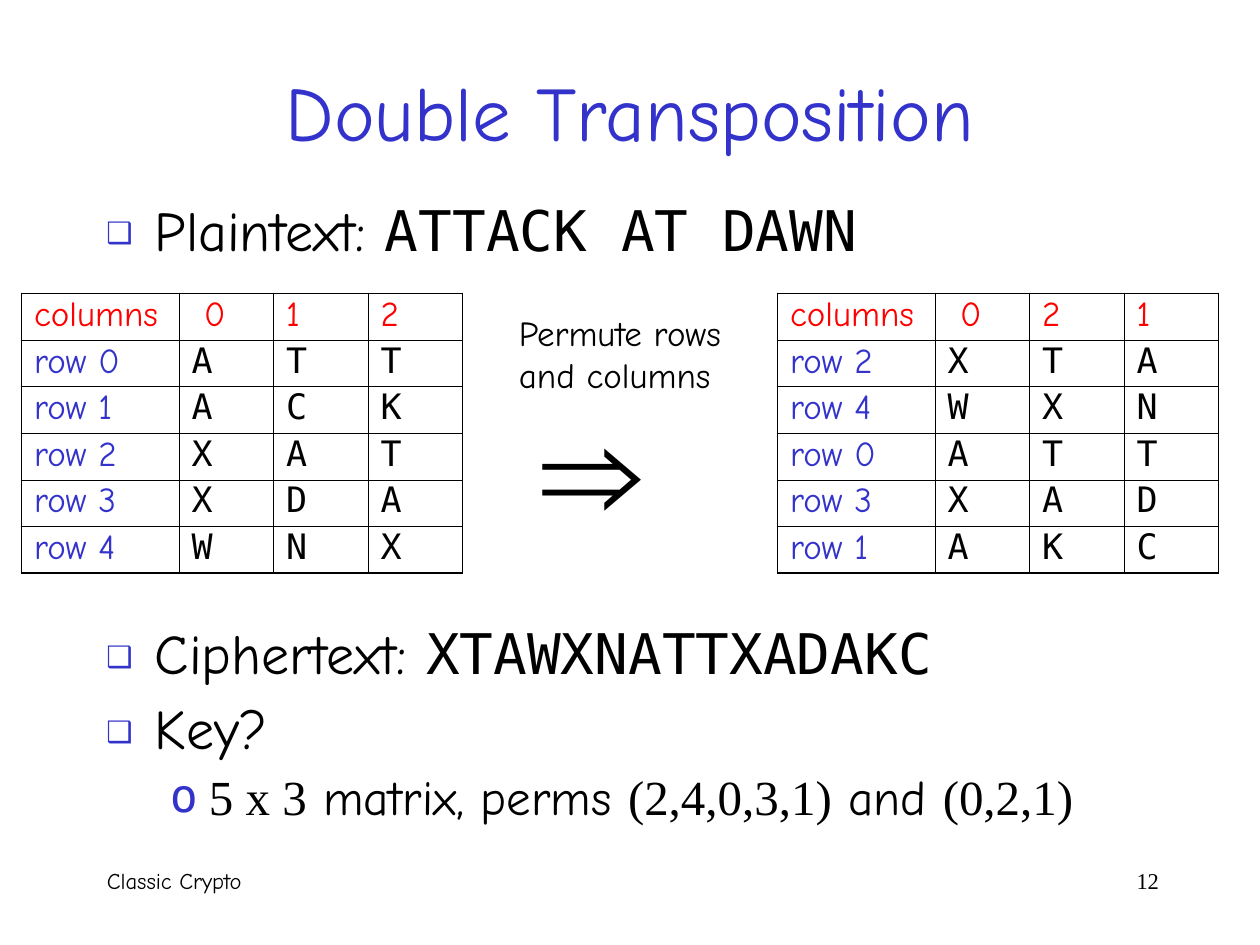
"""Build the Double Transposition slide."""
from lxml import etree
from pptx import Presentation
from pptx import util as u
from pptx.dml.color import RGBColor
from pptx.enum import text
from pptx.oxml import ns

HAND, MONO, SERIF, SANS = "Comic Neue", "DejaVu Sans Mono", "Times New Roman", "Arial"
BLACK, BLUE, RED = "000000", "3333CC", "FF0000"


def color(value):
    """Turn a hex string into a colour."""
    return RGBColor.from_string(value)


def add_element(parent, tag, **attributes):
    """Append a DrawingML element."""
    child = etree.SubElement(parent, ns.qn(tag))
    for name, value in attributes.items():
        child.set(name, str(value))
    return child


def add_spans(para, spans, size, ink=BLACK):
    """Add (wording, font) pairs to a paragraph."""
    for wording, font in spans:
        span = para.add_run()
        span.text = wording
        span.font.color.rgb = color(ink)
        for name, value in {"name": font, "size": u.Pt(size)}.items():
            setattr(span.font, name, value)


def add_bullet(para, mark, percent, left, hanging):
    """Give a paragraph a blue bullet with a hanging indent."""
    props = para._p.get_or_add_pPr()
    props.set("marL", str(u.Inches(left)))
    props.set("indent", str(-u.Inches(hanging)))
    add_element(add_element(props, "a:buClr"), "a:srgbClr", val=BLUE)
    add_element(props, "a:buSzPct", val=percent * 1000)
    add_element(props, "a:buFont", typeface=MONO)
    add_element(props, "a:buChar", char=mark)


def add_text(page, place, paragraphs, size, wrap=True):
    """Add a text box holding one list of spans per paragraph."""
    box = page.shapes.add_textbox(*map(u.Inches, place))
    box.text_frame.word_wrap = wrap
    for index, spans in enumerate(paragraphs):
        para = box.text_frame.add_paragraph() if index else box.text_frame.paragraphs[0]
        add_spans(para, spans, size)
    return box


def add_bullets(page, place, items, line_spacing=1.0):
    """Add a text box of (level, spans) bullet items."""
    box = page.shapes.add_textbox(*map(u.Inches, place))
    box.text_frame.word_wrap = True
    styles = [(32, 8, ("❑", 75, 0.38, 0.38)), (28, 7, ("o", 95, 0.81, 0.31))]
    for index, (level, spans) in enumerate(items):
        para = box.text_frame.add_paragraph() if index else box.text_frame.paragraphs[0]
        size, gap, bullet = styles[level]
        add_bullet(para, *bullet)
        para.level = level
        para.line_spacing = line_spacing
        if index:
            para.space_before = u.Pt(gap)
        add_spans(para, spans, size)


def add_borders(cell, outer):
    """Draw cell borders, heavier on the sides in outer."""
    props = cell._tc.get_or_add_tcPr()
    for side in "LRTB":
        width = u.Pt(1.08 if side in outer else 0.45)
        line = add_element(props, f"a:ln{side}", w=width)
        add_element(add_element(line, "a:solidFill"), "a:srgbClr", val=BLACK)


def add_matrix(page, left, columns, rows):
    """Add a letter matrix with column and row labels."""
    grid = [["columns", *columns]] + [[f"row {key}", *letters] for key, letters in rows]
    last_row, last_column = len(grid) - 1, len(columns)
    frame = page.shapes.add_table(
        len(grid), last_column + 1, *map(u.Inches, (left, 2.33, 3.5, 2.2)))
    table = frame.table
    table.first_row = table.horz_banding = False
    for index, column in enumerate(table.columns):
        column.width = u.Inches(0.75 if index else 1.25)
    for r, values in enumerate(grid):
        table.rows[r].height = u.Inches(0.37)
        for c, value in enumerate(values):
            cell = table.cell(r, c)
            edges = {"L": c == 0, "R": c == last_column, "T": r == 0, "B": r == last_row}
            add_borders(cell, [side for side, is_outer in edges.items() if is_outer])
            cell.fill.background()
            cell.vertical_anchor = text.MSO_ANCHOR.MIDDLE
            cell.margin_left = u.Inches(0.2 if (r, c) == (0, 1) else 0.1)
            para = cell.text_frame.paragraphs[0]
            para.line_spacing = 0.8
            font = MONO if r and c else HAND
            ink = RED if r == 0 else BLACK if c else BLUE
            add_spans(para, [(value, font)], 20, ink)


def add_title(page, wording):
    """Place and format the title."""
    title = page.shapes.title
    place = {"left": 0.75, "top": 0.25, "width": 8.5, "height": 1.25}
    for name, value in place.items():
        setattr(title, name, u.Inches(value))
    title.text_frame.vertical_anchor = text.MSO_ANCHOR.MIDDLE
    para = title.text_frame.paragraphs[0]
    para.alignment = text.PP_ALIGN.CENTER
    add_spans(para, [(wording, HAND)], 44, BLUE)


def add_footer(page, wording, number):
    """Add the footer with the page number at a right tab."""
    box = add_text(page, (0.75, 6.83, 8.58, 0.5), [[]], 12.9)
    para = box.text_frame.paragraphs[0]
    tabs = add_element(para._p.get_or_add_pPr(), "a:tabLst")
    add_element(tabs, "a:tab", pos=u.Inches(8.35), algn="r")
    add_spans(para, [(wording + "\t", HAND), (number, SERIF)], 12.9)


def main():
    """Build and save the deck."""
    deck = Presentation()
    deck.slide_width, deck.slide_height = u.Inches(10), u.Inches(7.5)
    page = deck.slides.add_slide(deck.slide_layouts[5])
    add_footer(page, "Classic Crypto", "12")
    add_title(page, "Double Transposition")
    add_bullets(page, (0.75, 1.5, 8.5, 0.75), [
        (0, [("Plaintext: ", HAND), ("ATTACK AT DAWN", MONO)])])
    add_text(page, (4.02, 2.42, 1.83, 0.77),
             [[("Permute rows", HAND)], [("and columns", HAND)]], 20, wrap=False)
    add_text(page, (4.2, 2.98, 1.3, 1.44), [[("⇒", SANS)]], 80)
    add_bullets(page, (0.75, 4.92, 8.58, 1.92), [
        (0, [("Ciphertext: ", HAND), ("XTAWXNATTXADAKC", MONO)]),
        (0, [("Key?", HAND)]),
        (1, [("5 x 3", SERIF), (" matrix, perms ", HAND), ("(2,4,0,3,1)", SERIF),
             (" and ", HAND), ("(0,2,1)", SERIF)]),
    ], line_spacing=0.9)
    add_matrix(page, 0.17, "012", enumerate(["ATT", "ACK", "XAT", "XDA", "WNX"]))
    add_matrix(page, 6.17, "021", zip("24031", ["XTA", "WXN", "ATT", "XAD", "AKC"]))
    deck.save("out.pptx")


if __name__ == "__main__":
    main()
